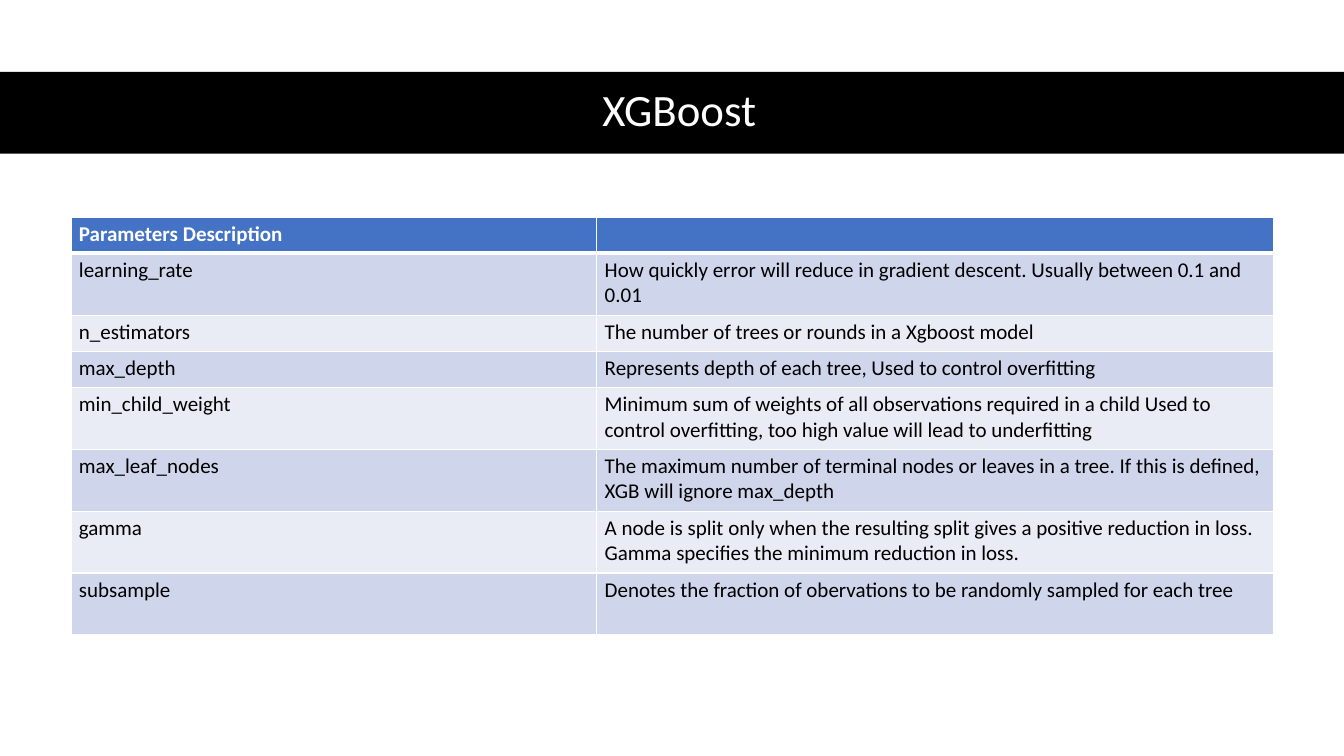
from pptx import Presentation
from pptx.dml.color import RGBColor
from pptx.enum.shapes import MSO_SHAPE as Shape
from pptx.enum.text import MSO_ANCHOR as Anchor, PP_ALIGN as Align
from pptx.oxml.xmlchemy import OxmlElement as Element
from pptx.util import Cm, Pt

BLACK = RGBColor(0x00, 0x00, 0x00)
WHITE = RGBColor(0xFF, 0xFF, 0xFF)
BLUE = RGBColor(0x44, 0x72, 0xC4)
BANDS = [RGBColor(0xE9, 0xEB, 0xF5), RGBColor(0xCF, 0xD5, 0xEA)]

SHORT, TALL = Cm(0.91), Cm(1.56)
ROWS = [
    (SHORT, "Parameters Description", ""),
    (TALL, "learning_rate",
     "How quickly error will reduce in gradient descent. "
     "Usually between 0.1 and 0.01"),
    (SHORT, "n_estimators", "The number of trees or rounds in a Xgboost model"),
    (SHORT, "max_depth",
     "Represents depth of each tree, Used to control overfitting"),
    (TALL, "min_child_weight",
     "Minimum sum of weights of all observations required in a child "
     "Used to control overfitting, too high value will lead to underfitting"),
    (TALL, "max_leaf_nodes",
     "The maximum number of terminal nodes or leaves in a tree. "
     "If this is defined, XGB will ignore max_depth"),
    (TALL, "gamma",
     "A node is split only when the resulting split gives a positive "
     "reduction in loss. Gamma specifies the minimum reduction in loss."),
    (TALL, "subsample",
     "Denotes the fraction of obervations to be randomly sampled for each tree"),
]
WIDTHS = [Cm(13.25), Cm(17.05)]


def write(para, text, color, **form):
    run = para.add_run()
    run.text = text
    run.font.color.rgb = color
    for name, value in {"name": "Calibri", **form}.items():
        setattr(run.font, name, value)


def edge(cell, side, width):
    """Draw a white border on one side (L, R, T or B) of a cell."""
    line = Element(f"a:ln{side}")
    line.set("w", str(Pt(width)))
    fill = Element("a:solidFill")
    color = Element("a:srgbClr")
    color.set("val", str(WHITE))
    fill.append(color)
    line.append(fill)
    cell._tc.get_or_add_tcPr().append(line)


deck = Presentation()
deck.slide_width, deck.slide_height = Cm(33.87), Cm(19.05)
slide = deck.slides.add_slide(deck.slide_layouts[6])

# Title band
band = slide.shapes.add_shape(
    Shape.RECTANGLE, 0, Cm(1.81), deck.slide_width, Cm(2.06))
band.shadow.inherit = False
band.fill.solid()
band.fill.fore_color.rgb = BLACK
band.line.fill.background()

title = slide.shapes.add_textbox(Cm(1.55), Cm(1.78), Cm(31.14), Cm(2.06))
frame = title.text_frame
frame.word_wrap = True
frame.vertical_anchor = Anchor.MIDDLE
head = frame.paragraphs[0]
head.alignment = Align.CENTER
head.line_spacing = 0.9
write(head, "XGBoost", WHITE, size=Pt(32))

# Parameter table
table = slide.shapes.add_table(
    len(ROWS), len(WIDTHS), Cm(1.79), Cm(5.47),
    sum(WIDTHS), sum(row[0] for row in ROWS)).table
table.horz_banding = False
for col, width in zip(table.columns, WIDTHS):
    col.width = width

for r, (height, *texts) in enumerate(ROWS):
    table.rows[r].height = height
    top = r == 0
    for c, text in enumerate(texts):
        cell = table.cell(r, c)
        margins = {"margin_left": Cm(0.2), "margin_right": Cm(0.2),
                   "margin_top": Cm(0.1), "margin_bottom": Cm(0.1)}
        for name, value in margins.items():
            setattr(cell, name, value)
        for side in "LRTB":
            thick = (top and side == "B") or (r == 1 and side == "T")
            edge(cell, side, 3 if thick else 1)
        cell.fill.solid()
        cell.fill.fore_color.rgb = BLUE if top else BANDS[r % 2]
        para = cell.text_frame.paragraphs[0]
        if text:
            write(para, text, WHITE if top else BLACK, size=Pt(15), bold=top)
        else:
            # An empty cell takes its line height from the end mark
            end = Element("a:endParaRPr")
            end.set("sz", "1500")
            para._p.append(end)

deck.save("out.pptx")
